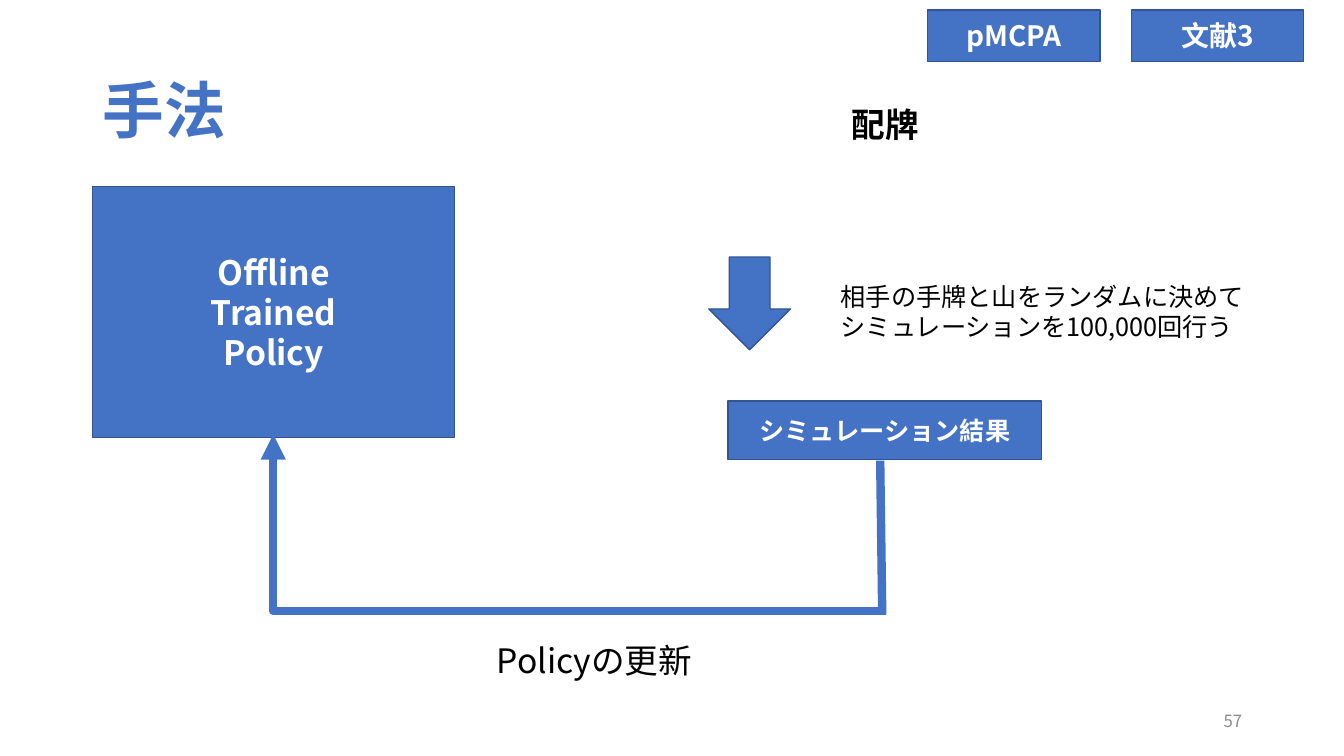
from pptx import Presentation
from pptx import util as u
from pptx.dml.color import RGBColor
from pptx.enum import shapes, text
from pptx.oxml import ns
from lxml import etree

BLUE, EDGE, WHITE, BLACK, GREY = "4472C4", "325491", "FFFFFF", "000000", "8C8C8C"
LEFT, CENTER, RIGHT = text.PP_ALIGN.LEFT, text.PP_ALIGN.CENTER, text.PP_ALIGN.RIGHT


def color(value):
    return RGBColor.from_string(value)


class SlideBuilder:
    font = "Noto Sans CJK JP"

    def __init__(self, deck):
        self.slide = deck.slides.add_slide(deck.slide_layouts[5])

    def set_words(self, box, words, size, ink, bold, align, middle=True):
        frame = box.text_frame
        frame.word_wrap = True
        frame.vertical_anchor = text.MSO_ANCHOR.MIDDLE if middle else text.MSO_ANCHOR.TOP
        frame.text = words
        for para in frame.paragraphs:
            para.alignment = align
            for span in para.runs:
                span.font.size = u.Pt(size)
                span.font.bold = bold
                span.font.color.rgb = color(ink)
                span.font.name = self.font
                latin = span.font._element.find(ns.qn("a:latin"))
                east_asian = etree.Element(ns.qn("a:ea"), typeface=self.font)
                latin.addnext(east_asian)

    def title(self, words, area):
        box = self.slide.shapes.title
        box.left, box.top, box.width, box.height = map(u.Inches, area)
        self.set_words(box, words, 44, BLUE, True, LEFT)
        box.text_frame.paragraphs[0].line_spacing = 0.9

    def label(self, words, area, size, ink=BLACK, bold=False, align=CENTER, middle=False):
        box = self.slide.shapes.add_textbox(*map(u.Inches, area))
        self.set_words(box, words, size, ink, bold, align, middle)

    def block(self, area, words="", size=18, kind=shapes.MSO_SHAPE.RECTANGLE):
        box = self.slide.shapes.add_shape(kind, *map(u.Inches, area))
        box.shadow.inherit = False
        box.fill.solid()
        box.fill.fore_color.rgb = color(BLUE)
        box.line.color.rgb = color(EDGE)
        box.line.width = u.Pt(1)
        if words:
            self.set_words(box, words, size, WHITE, True, CENTER)

    def line(self, ends):
        link = self.slide.shapes.add_connector(
            shapes.MSO_CONNECTOR.STRAIGHT, *map(u.Inches, ends))
        link.line.color.rgb = color(BLUE)
        link.line.width = u.Pt(6)
        etree.SubElement(link._element.spPr, ns.qn("a:effectLst"))
        return link

    def corner_arrow(self, ends):
        link = self.line(ends)
        properties = link._element.spPr
        properties.find(ns.qn("a:xfrm")).set("rot", "10800000")
        properties.find(ns.qn("a:prstGeom")).set("prst", "bentConnector2")
        etree.SubElement(properties.find(ns.qn("a:ln")), ns.qn("a:tailEnd"), type="triangle")


def main():
    deck = Presentation()
    deck.slide_width, deck.slide_height = u.Inches(13.33), u.Inches(7.5)
    page = SlideBuilder(deck)

    page.label("57", (9.42, 6.95, 3, 0.4), 12, GREY, align=RIGHT, middle=True)
    page.title("手法", (0.92, 0.4, 11.5, 1.45))
    for index, tag in enumerate(("pMCPA", "文献3")):
        page.block((9.2 + 2.02 * index, 0.1, 1.71, 0.51), tag, 20)

    page.block((0.92, 1.85, 3.59, 2.49), "Offline\nTrained\nPolicy", 24)
    page.label("配牌", (7.14, 0.98, 3.28, 0.5), 24, bold=True)
    page.block((7.03, 2.55, 0.81, 0.92), kind=shapes.MSO_SHAPE.DOWN_ARROW)
    page.label("相手の手牌と山をランダムに決めて\nシミュレーションを100,000回行う",
               (8.24, 2.74, 4.23, 0.71), 18, align=LEFT)
    page.block((7.22, 3.98, 3.11, 0.58), "シミュレーション結果")

    page.line((8.73, 4.57, 8.75, 6.09))
    page.corner_arrow((2.71, 4.31, 8.79, 6.06))
    page.label("Policyの更新", (4.24, 6.3, 3.31, 0.5), 24)

    deck.save("out.pptx")


if __name__ == "__main__":
    main()
